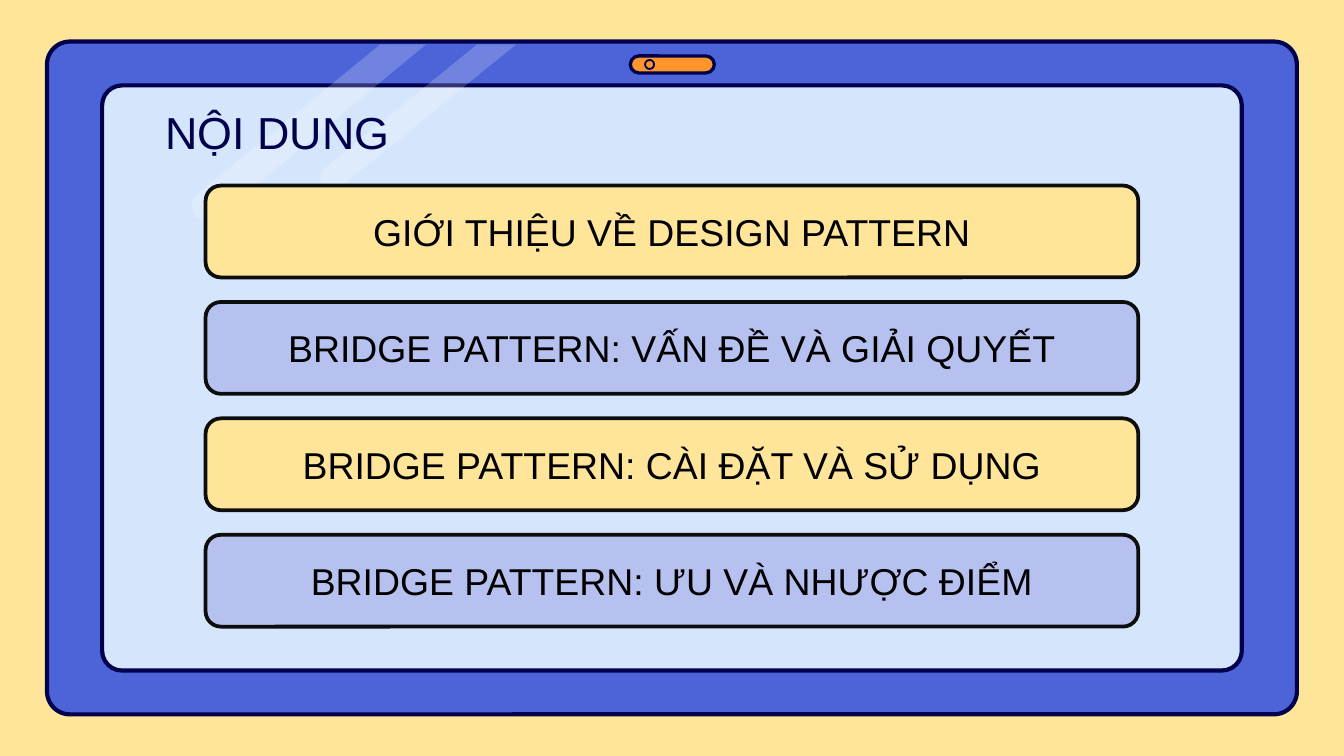
import math

import pptx
import pptx.dml.color
import pptx.enum.shapes
import pptx.enum.text
import pptx.util
import lxml.etree

SHAPE = pptx.enum.shapes.MSO_SHAPE
CENTER = pptx.enum.text.PP_ALIGN.CENTER
NAVY = "00004D"

deck = pptx.Presentation()
deck.slide_width = pptx.util.Inches(10)
deck.slide_height = pptx.util.Inches(5.625)
slide = deck.slides.add_slide(deck.slide_layouts[6])

# Grid of 100 columns by 100 rows
COL = deck.slide_width / 100
ROW = deck.slide_height / 100


def rgb(value):
    return pptx.dml.color.RGBColor.from_string(value)


def add_panel(kind, left, top, width, height, fill, line, weight, corner=None):
    panel = slide.shapes.add_shape(
        kind, int(left * COL), int(top * ROW), int(width * COL), int(height * ROW))
    panel.shadow.inherit = False
    if fill:
        panel.fill.solid()
        panel.fill.fore_color.rgb = rgb(fill)
    else:
        panel.fill.background()
    panel.line.color.rgb = rgb(line)
    panel.line.width = pptx.util.Pt(weight)
    if corner is not None:
        panel.adjustments[0] = corner
    return panel


# Background
slide.background.fill.solid()
slide.background.fill.fore_color.rgb = rgb("FFE599")

# Tablet body and screen
add_panel(SHAPE.ROUNDED_RECTANGLE, 3.5, 5.5, 93, 89, "4C64D8", NAVY, 2.25, 0.034)
add_panel(SHAPE.ROUNDED_RECTANGLE, 7.6, 11.3, 84.8, 77.4, "D5E6FC", NAVY, 2.25, 0.034)

# Translucent gleams: top edge from right to left, then a round lower end
gleam_top = 5.87 * ROW
for right, left, cap_col, cap_row, radius in [
    (31.7, 28.3, 15.4, 27.25, 1.15),
    (38.4, 35.5, 24.75, 23.5, 0.92),
]:
    cap = []
    for degrees in range(45, 226, 15):
        angle = math.radians(degrees)
        cap.append((cap_col * COL + radius * COL * math.cos(angle),
                    cap_row * ROW + radius * COL * math.sin(angle)))
    outline = slide.shapes.build_freeform(int(right * COL), int(gleam_top))
    outline.add_line_segments(cap + [(left * COL, gleam_top)], close=True)
    gleam = outline.convert_to_shape()
    gleam.shadow.inherit = False
    gleam.line.fill.background()
    gleam.fill.solid()
    gleam.fill.fore_color.rgb = rgb("FFFFFF")
    color = gleam.fill._xPr.find(".//" + pptx.oxml.ns.qn("a:srgbClr"))
    lxml.etree.SubElement(color, pptx.oxml.ns.qn("a:alpha"), val="20000")

# Camera bar and lens
add_panel(SHAPE.ROUNDED_RECTANGLE, 46.9, 7.4, 6.25, 2.25, "FF952B", NAVY, 1.75, 0.5)
add_panel(SHAPE.OVAL, 48, 7.93, 0.67, 1.2, None, NAVY, 1)

# Title
title = slide.shapes.add_textbox(
    int(-5.3 * COL), int(12.1 * ROW), int(50.7 * COL), int(15.5 * ROW))
title_frame = title.text_frame
title_frame.word_wrap = True
title_frame.margin_left = title_frame.margin_right = pptx.util.Inches(0.1)
title_frame.margin_top = title_frame.margin_bottom = pptx.util.Inches(0.1)
heading = title_frame.paragraphs[0]
heading_format = heading._p.get_or_add_pPr()
heading_format.set("marL", str(pptx.util.Inches(0.5)))
heading_format.set("indent", str(pptx.util.Inches(-0.38)))
labels = [(heading, "NỘI DUNG", 24, NAVY)]

# Topic cards, in alternating colours
topics = [
    "GIỚI THIỆU VỀ DESIGN PATTERN",
    "BRIDGE PATTERN: VẤN ĐỀ VÀ GIẢI QUYẾT",
    "BRIDGE PATTERN: CÀI ĐẶT VÀ SỬ DỤNG",
    "BRIDGE PATTERN: ƯU VÀ NHƯỢC ĐIỂM",
]
card_fills = ["FFE599", "B7C1EF"]
for index, topic in enumerate(topics):
    card = add_panel(SHAPE.ROUNDED_RECTANGLE, 15.3, 24.55 + 15.4 * index, 69.4, 12.15,
                     card_fills[index % 2], "0D0D0D", 2)
    card.text_frame.vertical_anchor = pptx.enum.text.MSO_ANCHOR.MIDDLE
    labels.append((card.text_frame.paragraphs[0], topic, 20, "000000"))

# Wording of the title and the cards
for paragraph, wording, size, ink in labels:
    paragraph.alignment = CENTER
    run = paragraph.add_run()
    run.text = wording
    run.font.name = "Arial"
    run.font.size = pptx.util.Pt(size)
    run.font.color.rgb = rgb(ink)

deck.save("out.pptx")
